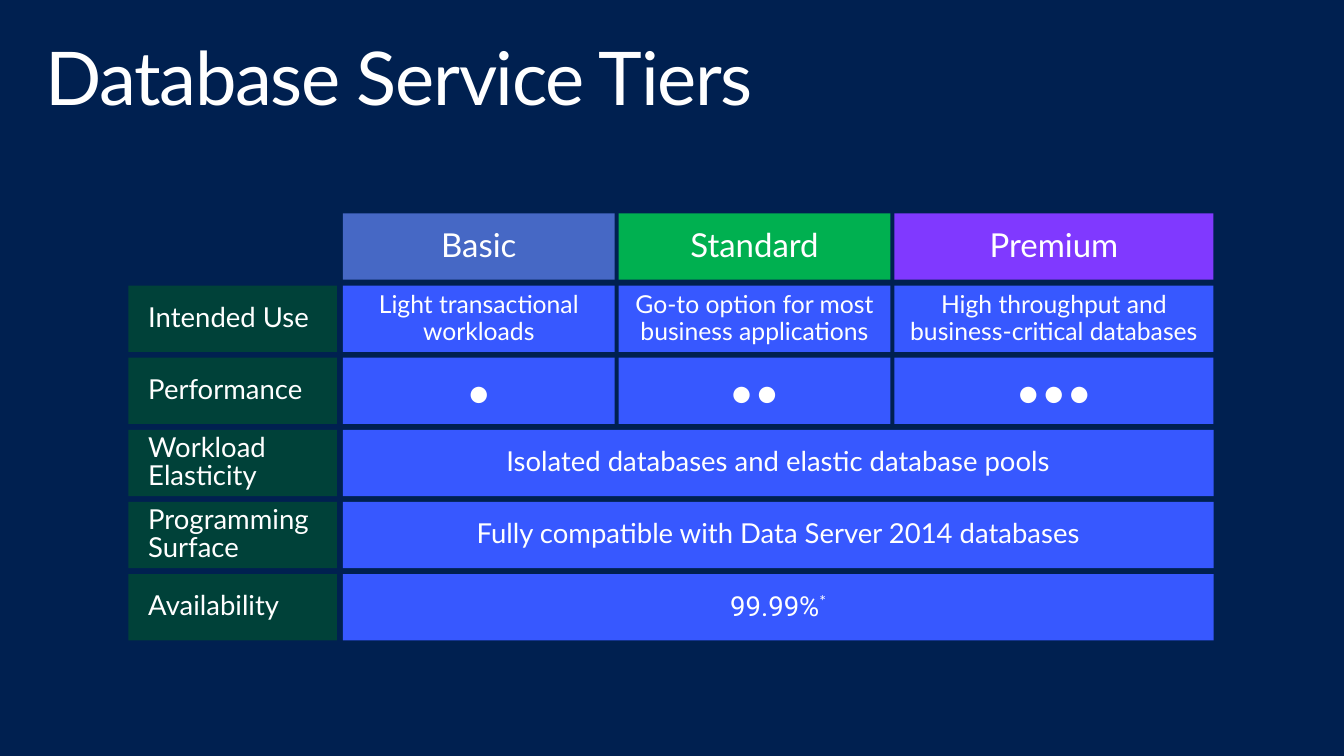
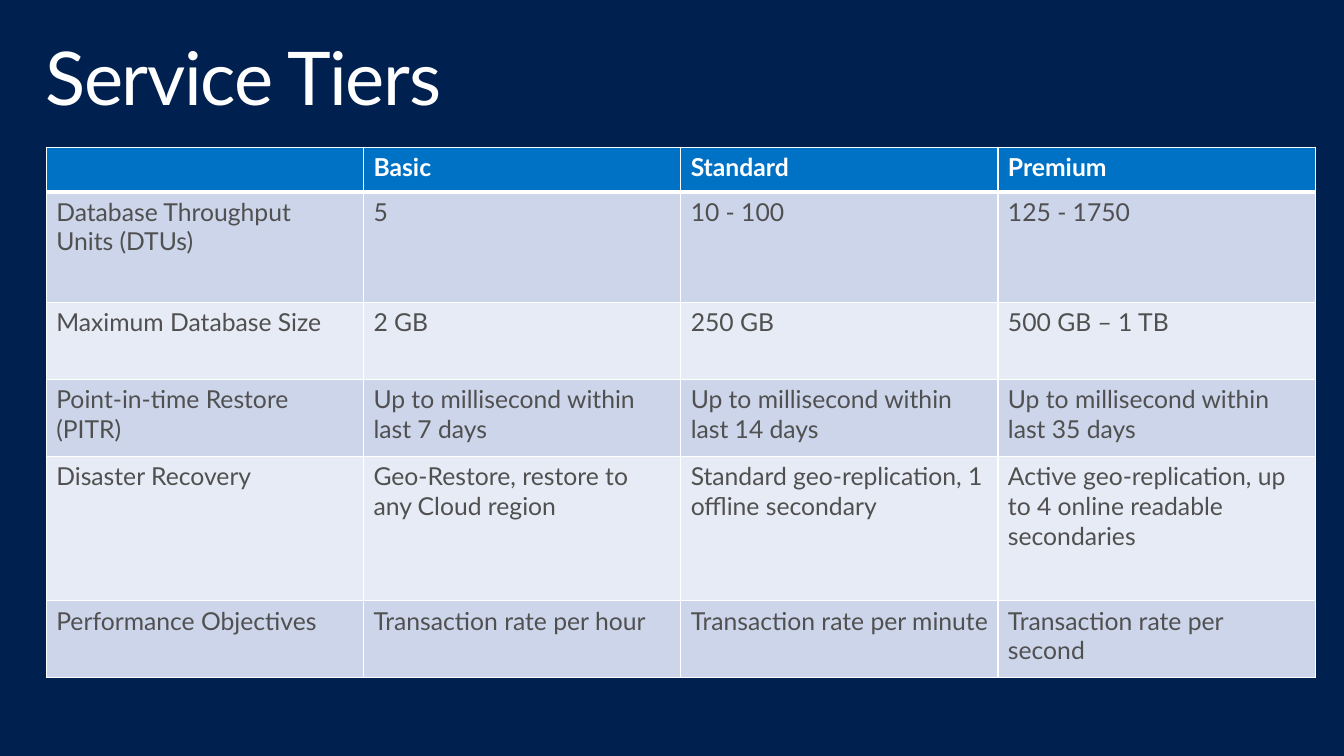
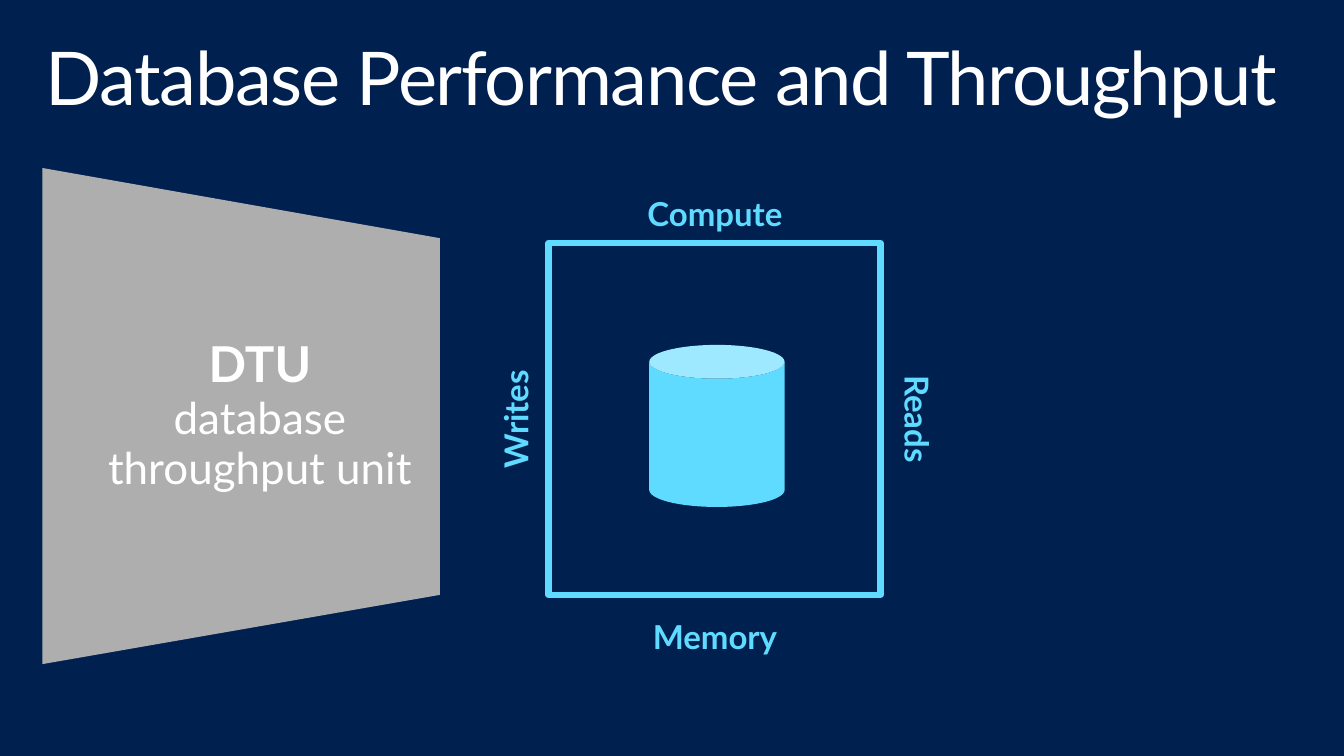
from dataclasses import dataclass
from itertools import accumulate

from lxml import etree
from pptx import Presentation
from pptx.dml import color as dml
from pptx.enum import shapes, text
from pptx.oxml import ns
from pptx import util as u


@dataclass(frozen=True)
class Theme:
    font: str = "Lato"
    number_font: str = "Roboto"
    background: str = "002050"
    white: str = "FFFFFF"
    basic: str = "4668C5"
    standard: str = "00B050"
    premium: str = "8039FF"
    value: str = "3758FF"
    row_label: str = "004139"
    table_header: str = "0072C6"
    table_bands: tuple[str, str] = ("CCD5EA", "E7EBF5")
    table_text: str = "505050"
    accent: str = "5EDBFF"
    panel: str = "AEAEAE"
    title_size: int = 54
    unit_size: int = 36
    large_size: int = 32
    heading_size: int = 24
    medium_size: int = 20
    small_size: int = 18


THEME = Theme()


@dataclass(frozen=True)
class Box:
    left: float
    top: float
    width: float
    height: float

    def lengths(self) -> tuple:
        return tuple(u.Inches(n) for n in (self.left, self.top, self.width, self.height))


@dataclass(frozen=True)
class TextStyle:
    size: int
    color: str = THEME.white
    bold: bool = False
    centered: bool = True
    spacing: float = 1.0
    side_inset: float = 0.2


@dataclass(frozen=True)
class Tile:
    text: str
    column: int
    row: int
    fill: str
    style: TextStyle
    span: int = 1


@dataclass(frozen=True)
class SideLabel:
    text: str
    box: Box
    rotation: int = 0


TITLE_BOX = Box(0.3, 0.32, 13, 1)
TILE_COLUMNS = ((1.3, 2.11), (3.47, 2.75), (6.26, 2.75), (9.05, 3.23))
TILE_TOP, TILE_HEIGHT, TILE_STEP = 2.16, 0.67, 0.73

HEADING = TextStyle(THEME.heading_size, spacing=0.9)
ROW_LABEL = TextStyle(THEME.medium_size, centered=False, spacing=0.85)
USE = TextStyle(THEME.small_size, spacing=0.9, side_inset=0.1)
DOTS = TextStyle(THEME.large_size)
SHARED_VALUE = TextStyle(THEME.medium_size, spacing=0.9)

TIERS = ("Basic", "Standard", "Premium")
TIER_COLORS = (THEME.basic, THEME.standard, THEME.premium)
ROW_LABELS = ("Intended Use", "Performance", "Workload Elasticity",
              "Programming\vSurface", "Availability")
USES = ("Light transactional workloads", "Go-to option for most business applications",
        "High throughput and business-critical databases")
SHARED_VALUES = ("Isolated databases and elastic database pools",
                 "Fully compatible with Data Server 2014 databases", "99.99%")

TABLE_BOX = Box(0.47, 1.49, 12.84, 5.37)
TABLE_ROW_HEIGHTS = (0.45, 1.12, 0.78, 0.78, 1.46, 0.78)
TABLE_ROWS = (
    ("", *TIERS),
    ("Database Throughput Units (DTUs)", "5", "10 - 100", "125 - 1750"),
    ("Maximum Database Size", "2 GB", "250 GB", "500 GB – 1 TB"),
    ("Point-in-time Restore (PITR)",
     *(f"Up to millisecond within last {days} days" for days in (7, 14, 35))),
    ("Disaster Recovery", "Geo-Restore, restore to any Cloud region",
     "Standard geo-replication, 1 offline secondary",
     "Active geo-replication, up to 4 online readable secondaries"),
    ("Performance Objectives",
     *(f"Transaction rate per {unit}" for unit in ("hour", "minute", "second"))),
)

SIDE_LABELS = (
    SideLabel("Compute", Box(6.41, 1.91, 1.65, 0.5)),
    SideLabel("Writes", Box(4.6, 3.99, 1.23, 0.5), 270),
    SideLabel("Reads", Box(8.72, 3.99, 1.13, 0.5), 90),
    SideLabel("Memory", Box(6.46, 6.19, 1.55, 0.5)),
)
PANEL_CORNERS = ((0.43, 1.7), (4.45, 2.41), (4.45, 6.02), (0.43, 6.72))


def rgb(value: str) -> dml.RGBColor:
    return dml.RGBColor.from_string(value)


def format_run(run, size: int, color: str, bold: bool = False) -> None:
    run.font.name = THEME.font
    run.font.size = u.Pt(size)
    run.font.bold = bold
    run.font.color.rgb = rgb(color)


def write(text_frame, words: str, style: TextStyle) -> None:
    text_frame.text = words
    paragraph = text_frame.paragraphs[0]
    paragraph.alignment = text.PP_ALIGN.CENTER if style.centered else text.PP_ALIGN.LEFT
    paragraph.line_spacing = style.spacing
    for run in paragraph.runs:
        format_run(run, style.size, style.color, style.bold)


def set_insets(text_frame, left: float, right: float, vertical: float) -> None:
    text_frame.margin_left, text_frame.margin_right = u.Inches(left), u.Inches(right)
    text_frame.margin_top = text_frame.margin_bottom = u.Inches(vertical)


def paint(shape, fill: str) -> None:
    shape.shadow.inherit = False
    shape.fill.solid()
    shape.fill.fore_color.rgb = rgb(fill)
    shape.line.fill.background()


def add_titled_slide(presentation, title: str):
    slide = presentation.slides.add_slide(presentation.slide_layouts.get_by_name("Title Only"))
    shape = slide.shapes.title
    shape.left, shape.top, shape.width, shape.height = TITLE_BOX.lengths()
    frame = shape.text_frame
    write(frame, title, TextStyle(THEME.title_size, centered=False, spacing=0.9))
    set_insets(frame, 0.16, 0.16, 0.1)
    frame.word_wrap = True
    frame.auto_size = text.MSO_AUTO_SIZE.NONE
    frame.vertical_anchor = text.MSO_ANCHOR.TOP
    for run in frame.paragraphs[0].runs:
        run.font._element.set("spc", "-100")
    return slide


def add_tile(slide, tile: Tile):
    left = TILE_COLUMNS[tile.column][0]
    last_left, last_width = TILE_COLUMNS[tile.column + tile.span - 1]
    box = Box(left, TILE_TOP + tile.row * TILE_STEP, last_left + last_width - left, TILE_HEIGHT)
    shape = slide.shapes.add_shape(shapes.MSO_SHAPE.RECTANGLE, *box.lengths())
    paint(shape, tile.fill)
    frame = shape.text_frame
    write(frame, tile.text, tile.style)
    set_insets(frame, tile.style.side_inset, tile.style.side_inset, 0.16)
    frame.word_wrap = True
    frame.vertical_anchor = text.MSO_ANCHOR.MIDDLE
    return shape


def build_tier_grid(presentation) -> None:
    slide = add_titled_slide(presentation, "Database Service Tiers")
    for column, (tier, fill, use) in enumerate(zip(TIERS, TIER_COLORS, USES), 1):
        add_tile(slide, Tile(tier, column, 0, fill, HEADING))
        add_tile(slide, Tile(use, column, 1, THEME.value, USE))
        add_tile(slide, Tile("•" * column, column, 2, THEME.value, DOTS))
    for row, label in enumerate(ROW_LABELS, 1):
        add_tile(slide, Tile(label, 0, row, THEME.row_label, ROW_LABEL))
    shared_tiles = [add_tile(slide, Tile(value, 1, row, THEME.value, SHARED_VALUE, span=3))
                    for row, value in enumerate(SHARED_VALUES, 3)]
    availability = shared_tiles[-1].text_frame.paragraphs[0]
    availability.runs[0].font.name = THEME.number_font
    asterisk = availability.add_run()
    asterisk.text = "*"
    format_run(asterisk, THEME.medium_size, THEME.white)
    asterisk.font._element.set("baseline", "30000")


def set_borders(cell, top: float, bottom: float) -> None:
    properties = cell._tc.get_or_add_tcPr()
    widths = {"a:lnL": 1, "a:lnR": 1, "a:lnT": top, "a:lnB": bottom}
    for position, (tag, width) in enumerate(widths.items()):
        border = etree.Element(ns.qn(tag), w=str(u.Pt(width)))
        fill = etree.SubElement(border, ns.qn("a:solidFill"))
        etree.SubElement(fill, ns.qn("a:srgbClr"), val=THEME.white)
        properties.insert(position, border)


def build_tier_table(presentation) -> None:
    slide = add_titled_slide(presentation, "Service Tiers")
    table = slide.shapes.add_table(len(TABLE_ROWS), len(TABLE_ROWS[0]),
                                   *TABLE_BOX.lengths()).table
    for row, height in zip(table.rows, TABLE_ROW_HEIGHTS):
        row.height = u.Inches(height)
    for row, values in enumerate(TABLE_ROWS):
        header = row == 0
        fill = THEME.table_header if header else THEME.table_bands[(row - 1) % 2]
        style = TextStyle(THEME.small_size, THEME.white if header else THEME.table_text,
                          bold=header, centered=False)
        for column, value in enumerate(values):
            cell = table.cell(row, column)
            write(cell.text_frame, value, style)
            cell.fill.solid()
            cell.fill.fore_color.rgb = rgb(fill)
            set_borders(cell, top=3 if row == 1 else 1, bottom=3 if header else 1)


def add_unit_panel(slide) -> None:
    start, *corners = [(u.Inches(x), u.Inches(y)) for x, y in PANEL_CORNERS]
    builder = slide.shapes.build_freeform(*start)
    builder.add_line_segments(corners, close=True)
    panel = builder.convert_to_shape()
    paint(panel, THEME.panel)
    frame = panel.text_frame
    write(frame, "DTU\vdatabase throughput unit", TextStyle(THEME.large_size, spacing=0.95))
    format_run(frame.paragraphs[0].runs[0], THEME.unit_size, THEME.white, bold=True)
    set_insets(frame, 0.5, 0.12, 0.16)
    frame.word_wrap = True
    frame.vertical_anchor = text.MSO_ANCHOR.MIDDLE


def add_side_label(slide, label: SideLabel) -> None:
    shape = slide.shapes.add_textbox(*label.box.lengths())
    shape.rotation = label.rotation
    frame = shape.text_frame
    frame.word_wrap = False
    frame.auto_size = text.MSO_AUTO_SIZE.SHAPE_TO_FIT_TEXT
    write(frame, label.text, TextStyle(THEME.heading_size, THEME.accent, bold=True))


def build_throughput(presentation) -> None:
    slide = add_titled_slide(presentation, "Database Performance and Throughput")
    boundary = slide.shapes.add_shape(shapes.MSO_SHAPE.RECTANGLE,
                                      *Box(5.55, 2.46, 3.36, 3.56).lengths())
    boundary.shadow.inherit = False
    boundary.fill.background()
    boundary.line.color.rgb = rgb(THEME.accent)
    boundary.line.width = u.Pt(4.5)
    for label in SIDE_LABELS:
        add_side_label(slide, label)
    add_unit_panel(slide)
    database = slide.shapes.add_shape(shapes.MSO_SHAPE.CAN, *Box(6.57, 3.49, 1.37, 1.64).lengths())
    paint(database, THEME.accent)


def main() -> None:
    presentation = Presentation()
    presentation.slide_width, presentation.slide_height = u.Inches(13.6), u.Inches(7.65)
    background = presentation.slide_master.background.fill
    background.solid()
    background.fore_color.rgb = rgb(THEME.background)
    build_tier_grid(presentation)
    build_tier_table(presentation)
    build_throughput(presentation)
    presentation.save("out.pptx")


if __name__ == "__main__":
    main()
